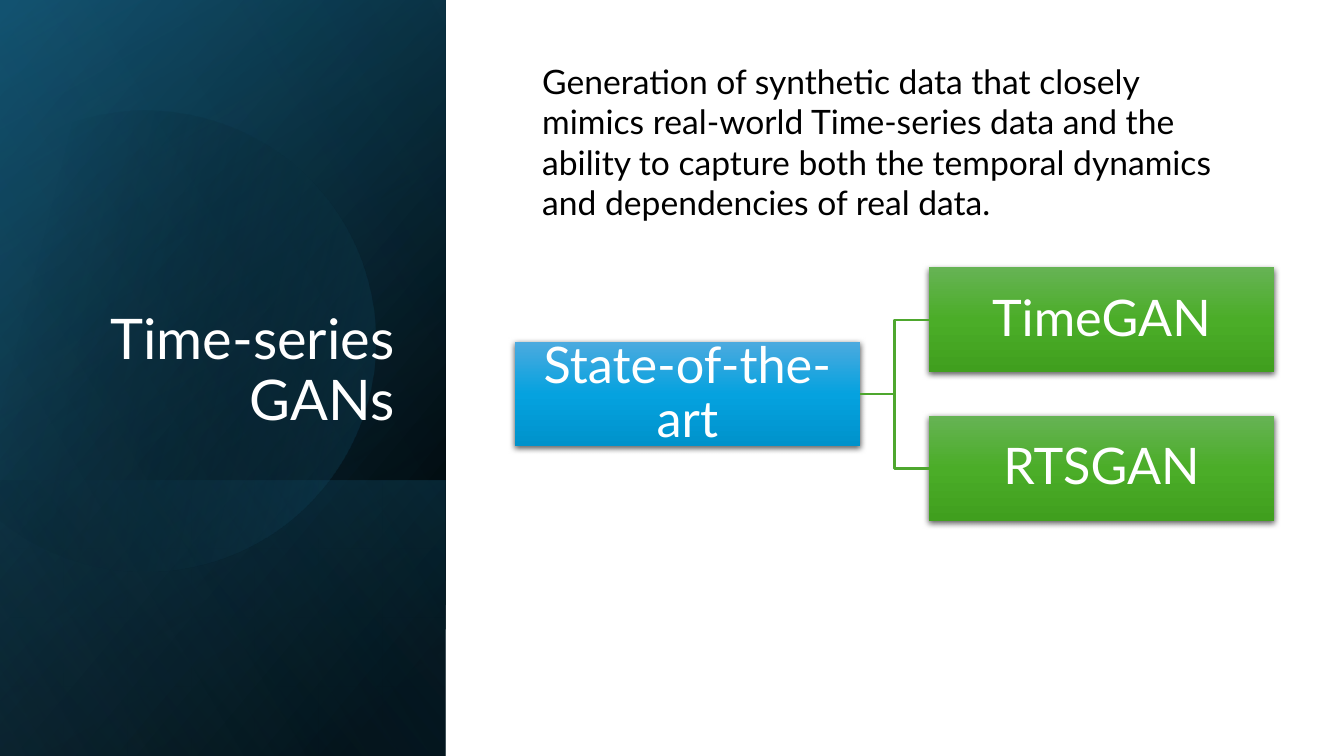
"""Build the Time-series GANs slide."""
import math
from dataclasses import dataclass
from itertools import pairwise

from pptx import Presentation
from pptx import util as u
from pptx.dml.color import RGBColor
from pptx.enum import shapes, text
from pptx.oxml import parse_xml
from pptx.oxml.ns import nsdecls, qn


@dataclass(frozen=True)
class Theme:
    """Colours, type sizes and gradients; a stop is position, colour, opacity."""

    font: str = "Lato"
    light: str = "FFFFFF"
    dark: str = "000000"
    branch: str = "4EA72E"
    title_size: int = 40
    body_size: int = 24
    box_size: int = 36
    blue: tuple = ((0, "4CAADF", 100), (50, "05A2DF", 100), (100, "0092CB", 100))
    green: tuple = ((0, "66B354", 100), (50, "4BAD28", 100), (100, "409F1E", 100))
    base: tuple = ((8, "000000", 100), (100, "104862", 100))
    haze: tuple = ((0, "000000", 0), (99, "156082", 46))
    foot: tuple = ((2, "156082", 29), (100, "000000", 30))
    disc: tuple = ((29, "000000", 0), (100, "156082", 43))
    sheen: tuple = ((0, "000000", 0), (99, "46B1E1", 11))


THEME = Theme()
WIDTH, HEIGHT = u.Inches(13.33), u.Inches(7.5)
PANEL_WIDTH = 33.16
BOX_WIDTH, BOX_HEIGHT = 25.66, 13.87
ROOT_LEFT, CHILD_LEFT = 38.32, 69.13
CHILD_TOP, CHILD_STEP = 35.37, 19.66


def across(percent):
    """Convert a percentage of the slide width to a length."""
    return u.Emu(round(WIDTH * percent / 100))


def down(percent):
    """Convert a percentage of the slide height to a length."""
    return u.Emu(round(HEIGHT * percent / 100))


def area(left, top, width, height):
    """Convert a box given in percentages to lengths."""
    return across(left), down(top), across(width), down(height)


def paint(shape, stops, angle):
    """Fill an unlined, unshadowed shape with a linear gradient."""
    shape.shadow.inherit = False
    shape.line.fill.background()
    shape.fill.background()
    marks = "".join(
        f'<a:gs pos="{position * 1000}"><a:srgbClr val="{colour}">'
        f'<a:alpha val="{opacity * 1000}"/></a:srgbClr></a:gs>'
        for position, colour, opacity in stops
    )
    gradient = parse_xml(
        f'<a:gradFill {nsdecls("a")} rotWithShape="1"><a:gsLst>{marks}</a:gsLst>'
        f'<a:lin ang="{angle * 60000}" scaled="0"/></a:gradFill>'
    )
    properties = shape.element.spPr
    properties.replace(properties.find(qn("a:noFill")), gradient)


def add_panel(slide, top, stops, angle):
    """Add a turned, mirrored gradient panel from top to the slide's foot."""
    left, top, width, height = area(0, top, PANEL_WIDTH, 100 - top)
    shift = (height - width) // 2
    panel = slide.shapes.add_shape(
        shapes.MSO_SHAPE.RECTANGLE, left - shift, top + shift, height, width
    )
    panel.rotation = 90
    panel.element.spPr.find(qn("a:xfrm")).set("flipH", "1")
    paint(panel, stops, angle)


def add_disc(slide, stops, angle):
    """Add a large turned disc of curved arcs, cut straight on its left side."""
    centre_x, centre_y, radius = across(10.77), down(44.6), down(30.47)
    bends = [math.radians(degree) for degree in (-118, -90, 0, 90, 150)]

    def point(bend, lean=0):
        """Return a point on the rim, moved along its tangent by lean."""
        x = math.cos(bend) - lean * math.sin(bend)
        y = math.sin(bend) + lean * math.cos(bend)
        return round(centre_x + radius * x), round(centre_y + radius * y)

    builder = slide.shapes.build_freeform(*point(bends[0]))
    builder.add_line_segments([point(bend) for bend in bends[1:]], close=True)
    disc = builder.convert_to_shape()
    sides = list(disc.element.spPr.iter(qn("a:lnTo")))
    for side, (start, end) in zip(sides, pairwise(bends)):
        lean = 4 / 3 * math.tan((end - start) / 4)
        marks = "".join(
            f'<a:pt x="{x - disc.left}" y="{y - disc.top}"/>'
            for x, y in (point(start, lean), point(end, -lean), point(end))
        )
        curve = parse_xml(f'<a:cubicBezTo {nsdecls("a")}>{marks}</a:cubicBezTo>')
        side.getparent().replace(side, curve)
    disc.rotation = 343.9
    paint(disc, stops, angle)


def write(shape, words, size, colour, alignment, anchor, spacing):
    """Write one formatted paragraph into a shape."""
    frame = shape.text_frame
    frame.text = words
    frame.word_wrap = True
    frame.auto_size = text.MSO_AUTO_SIZE.NONE
    frame.vertical_anchor = anchor
    paragraph = frame.paragraphs[0]
    paragraph.alignment = alignment
    paragraph.line_spacing = spacing
    paragraph.space_before = u.Pt(0)
    paragraph.font.name = THEME.font
    paragraph.font.size = u.Pt(size)
    paragraph.font.color.rgb = RGBColor.from_string(colour)


def add_title(slide, words):
    """Place the title over the panels."""
    title = slide.shapes.title
    slide.shapes.element.append(title.element)
    title.left, title.top, title.width, title.height = area(3.83, 8.53, 26.26, 49.33)
    write(title, words, THEME.title_size, THEME.light,
          text.PP_ALIGN.RIGHT, text.MSO_ANCHOR.BOTTOM, 0.9)
    title.text_frame.paragraphs[0].space_after = u.Pt(6)


def add_body(slide, words):
    """Add the introductory text."""
    body = slide.shapes.add_textbox(*area(39.61, 7.4, 53.86, 28))
    write(body, words, THEME.body_size, THEME.dark,
          text.PP_ALIGN.LEFT, text.MSO_ANCHOR.TOP, 1.0)


def add_box(slide, words, left, top, stops):
    """Add a shadowed diagram box with centred text."""
    box = slide.shapes.add_shape(
        shapes.MSO_SHAPE.RECTANGLE, *area(left, top, BOX_WIDTH, BOX_HEIGHT)
    )
    paint(box, stops, 90)
    box.element.spPr.find(qn("a:effectLst")).append(parse_xml(
        f'<a:outerShdw {nsdecls("a")} blurRad="{u.Pt(4.5)}" dist="{u.Pt(1.5)}" '
        f'dir="5400000" algn="ctr" rotWithShape="0"><a:srgbClr val="{THEME.dark}">'
        '<a:alpha val="63000"/></a:srgbClr></a:outerShdw>'
    ))
    write(box, words, THEME.box_size, THEME.light,
          text.PP_ALIGN.CENTER, text.MSO_ANCHOR.MIDDLE, 0.9)
    frame = box.text_frame
    frame.margin_left = frame.margin_right = u.Inches(0.03)
    frame.margin_top = frame.margin_bottom = u.Inches(0.03)
    return box


def add_branch(slide, parent, child):
    """Join the parent's right side to the child's left side."""
    branch = slide.shapes.add_connector(shapes.MSO_CONNECTOR.ELBOW, 0, 0, 0, 0)
    branch.begin_connect(parent, 3)
    branch.end_connect(child, 1)
    branch.line.color.rgb = RGBColor.from_string(THEME.branch)
    branch.line.width = u.Pt(1.5)
    branch.element.spPr.append(parse_xml(f'<a:effectLst {nsdecls("a")}/>'))


def add_tree(slide, root_words, child_words):
    """Add a root box centred beside its column of child boxes."""
    root_top = CHILD_TOP + CHILD_STEP * (len(child_words) - 1) / 2
    root = add_box(slide, root_words, ROOT_LEFT, root_top, THEME.blue)
    for row, words in enumerate(child_words):
        child = add_box(slide, words, CHILD_LEFT, CHILD_TOP + row * CHILD_STEP, THEME.green)
        add_branch(slide, root, child)


def main():
    """Build and save the presentation."""
    presentation = Presentation()
    presentation.slide_width, presentation.slide_height = WIDTH, HEIGHT
    slide = presentation.slides.add_slide(presentation.slide_layouts[5])
    for top, stops, angle in ((0, THEME.base, 50), (0, THEME.haze, 30), (63.5, THEME.foot, 130)):
        add_panel(slide, top, stops, angle)
    add_disc(slide, THEME.disc, 30)
    add_panel(slide, 0, THEME.sheen, 120)
    add_title(slide, "Time-series GANs")
    add_body(slide, "Generation of synthetic data that closely mimics real-world "
                    "Time-series data and the ability to capture both the temporal "
                    "dynamics and dependencies of real data.")
    add_tree(slide, "State-of-the-art", ("TimeGAN", "RTSGAN"))
    presentation.save("out.pptx")


if __name__ == "__main__":
    main()
